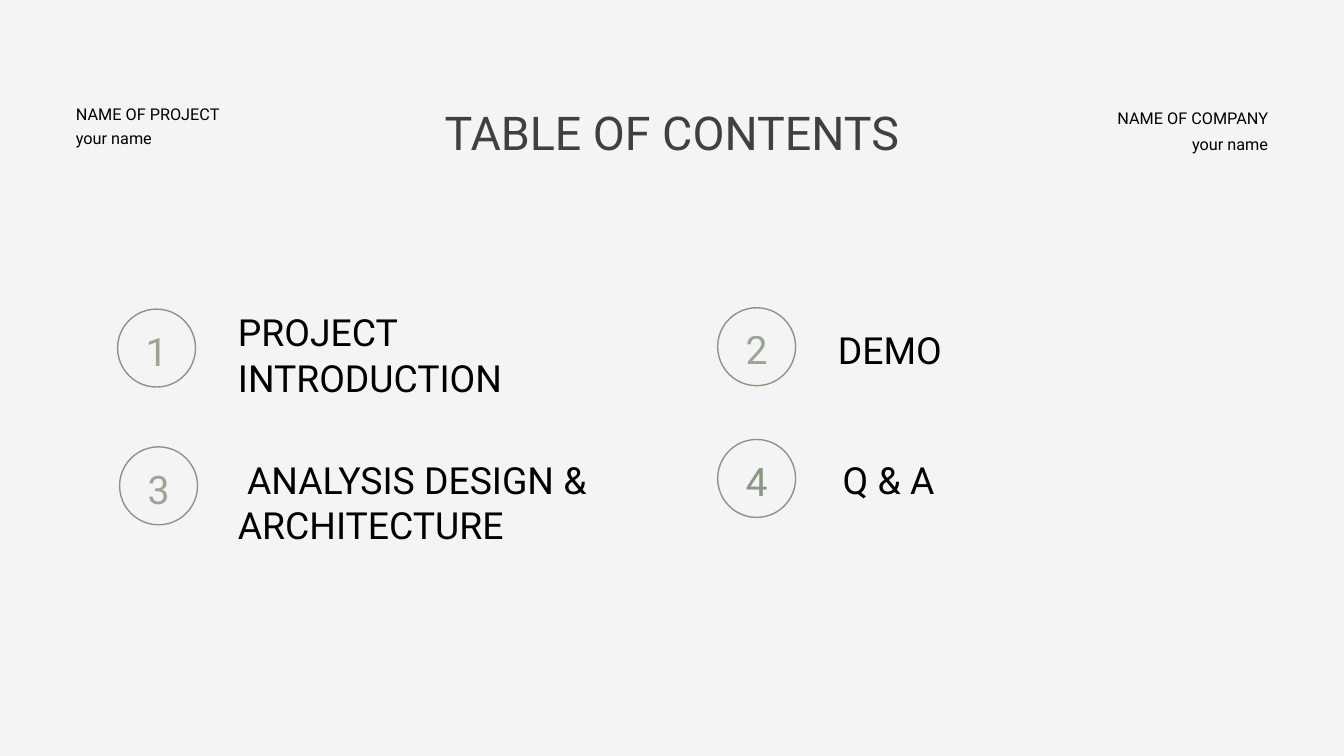
from lxml.etree import SubElement
from pptx import Presentation
from pptx.dml.color import RGBColor
from pptx.enum.shapes import MSO_SHAPE
from pptx.enum.text import MSO_AUTO_SIZE, PP_ALIGN
from pptx.oxml.ns import qn
from pptx.util import Inches, Pt

INK, TITLE, SAGE, PAPER = "000000", "404040", "8B9684", "F4F4F4"


def paint(color_format, hex_color, alpha=100):
    color_format.rgb = RGBColor.from_string(hex_color)
    if alpha < 100:
        color_element = color_format._xFill.find(qn("a:srgbClr"))
        SubElement(color_element, qn("a:alpha"), val=str(alpha * 1000))


class ContentsSlide:
    font = "Roboto"
    circle_size = 1.16

    def __init__(self, presentation):
        self.slide = presentation.slides.add_slide(presentation.slide_layouts[6])
        background = self.slide.background.fill
        background.solid()
        paint(background.fore_color, PAPER)

    def text(self, wording, left, top, width, height, size, leading,
             color=INK, align=PP_ALIGN.LEFT, alpha=100):
        box = self.slide.shapes.add_textbox(
            Inches(left), Inches(top), Inches(width), Inches(height))
        frame = box.text_frame
        frame.margin_left = frame.margin_right = 0
        frame.margin_top = frame.margin_bottom = 0
        frame.word_wrap = True
        frame.auto_size = MSO_AUTO_SIZE.SHAPE_TO_FIT_TEXT
        paragraph = frame.paragraphs[0]
        paragraph.alignment = align
        paragraph.line_spacing = Pt(leading)
        run = paragraph.add_run()
        run.text = wording
        run.font.name = self.font
        run.font.size = Pt(size)
        run.font.fill.solid()
        paint(run.font.fill.fore_color, color, alpha)

    def label(self, wording, left, top, align):
        self.text(wording, left, top, 2.75, 0.3, 17.4, 21.2, align=align)

    def number(self, digit, left, top, alpha):
        circle = self.slide.shapes.add_shape(
            MSO_SHAPE.OVAL, Inches(left), Inches(top),
            Inches(self.circle_size), Inches(self.circle_size))
        circle.shadow.inherit = False
        circle.fill.background()
        circle.line.width = Pt(1.5)
        paint(circle.line.color, SAGE)
        self.text(digit, left + 0.1, top + 0.15, self.circle_size - 0.2, 0.78,
                  42, 58.8, SAGE, PP_ALIGN.CENTER, alpha)

    def topic(self, wording, left, top, width, height):
        self.text(wording, left, top, width, height, 40, 48.8)


def main():
    presentation = Presentation()
    presentation.slide_width = Inches(20)
    presentation.slide_height = Inches(11.25)
    contents = ContentsSlide(presentation)

    contents.text("TABLE OF CONTENTS", 5.51, 1.54, 8.98, 0.84,
                  49.9, 60.9, TITLE, PP_ALIGN.CENTER)

    labels = [
        ("NAME OF PROJECT", 1.13, 1.54, PP_ALIGN.LEFT),
        ("your name", 1.13, 1.91, PP_ALIGN.LEFT),
        ("NAME OF COMPANY", 16.12, 1.61, PP_ALIGN.RIGHT),
        ("your name", 16.12, 2, PP_ALIGN.RIGHT),
    ]
    for label in labels:
        contents.label(*label)

    sections = [
        (("1", 1.75, 4.6, 83), ("PROJECT INTRODUCTION", 3.54, 4.59, 5.18, 1.35)),
        (("2", 10.68, 4.58, 83), ("DEMO", 12.47, 4.85, 5.51, 0.68)),
        (("3", 1.78, 6.65, 83),
         (" ANALYSIS DESIGN & ARCHITECTURE", 3.54, 6.79, 5.51, 1.35)),
        (("4", 10.68, 6.54, 100), ("Q & A", 12.54, 6.79, 5.51, 0.68)),
    ]
    for number, topic in sections:
        contents.number(*number)
        contents.topic(*topic)

    presentation.save("out.pptx")


if __name__ == "__main__":
    main()
